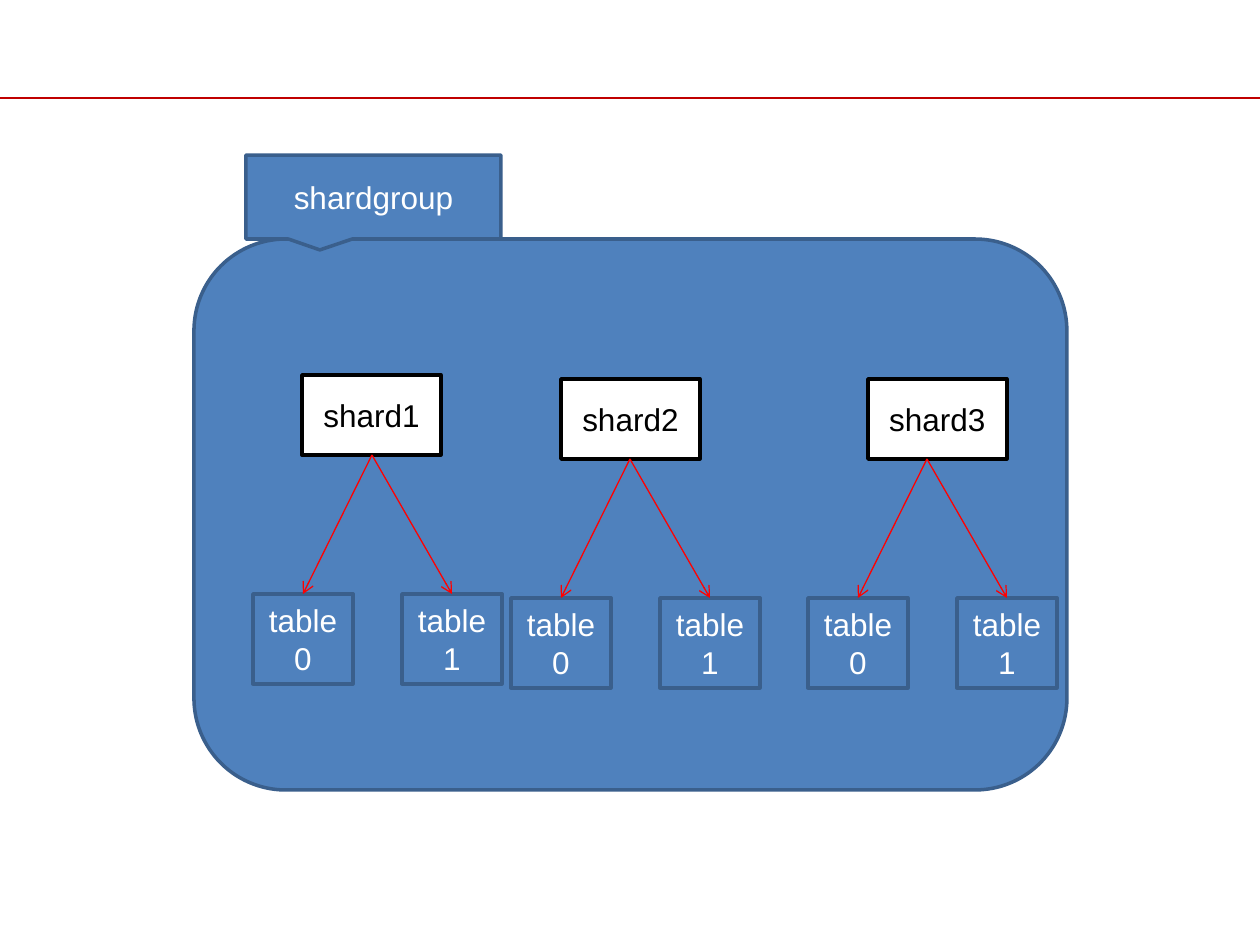
from lxml import etree
from pptx import Presentation
from pptx import util as u
from pptx.dml.color import RGBColor
from pptx.enum import shapes, text
from pptx.oxml.ns import qn

PX = 914400 // 126
BLUE, EDGE, WHITE, BLACK, RED = "4F81BD", "3A5F8C", "FFFFFF", "000000", "FF0000"
KIND = shapes.MSO_SHAPE

# Shards: label, left, top, x where both arrows start
SHARDS = [
    ("shard1", 302, 375, 372),
    ("shard2", 561, 379, 630),
    ("shard3", 868, 379, 927),
]
TABLES = ["table0", "table1"]
SHARD_W, SHARD_H = 139, 80
TABLE_W, TABLE_H = 100, 90
DROP = 219    # shard top to table top
SHIFT = 119   # arrow start back to first table
STEP = 149    # table to table

deck = Presentation()
deck.slide_width, deck.slide_height = u.Inches(10), u.Inches(7.5)
slide = deck.slides.add_slide(deck.slide_layouts[6])


def color(code):
    return RGBColor.from_string(code)


def box(kind, left, top, width, height, label="", fill=BLUE, edge=EDGE, ink=WHITE):
    shape = slide.shapes.add_shape(kind, *(n * PX for n in (left, top, width, height)))
    shape.shadow.inherit = False
    shape.fill.solid()
    shape.fill.fore_color.rgb = color(fill)
    shape.line.color.rgb = color(edge)
    shape.line.width = u.Pt(2)
    if label:
        frame = shape.text_frame
        frame.word_wrap = True
        frame.vertical_anchor = text.MSO_ANCHOR.MIDDLE
        para = frame.paragraphs[0]
        para.alignment = text.PP_ALIGN.CENTER
        run = para.add_run()
        run.text = label
        run.font.name, run.font.size = "Arial", u.Pt(18)
        run.font.color.rgb = color(ink)
    return shape


def line(x1, y1, x2, y2, ink, arrow=False):
    link = slide.shapes.add_connector(
        shapes.MSO_CONNECTOR.STRAIGHT, *(n * PX for n in (x1, y1, x2, y2)))
    link.line.color.rgb = color(ink)
    link.line.width = u.Pt(0.75)
    if arrow:
        etree.SubElement(link.line._get_or_add_ln(), qn("a:tailEnd"), type="arrow")
    etree.SubElement(link._element.spPr, qn("a:effectLst"))


# Header rule and group panel
line(0, 98, 1260, 98, "C00000")
box(KIND.ROUNDED_RECTANGLE, 194, 239, 873, 551)

# Each shard with its tables
for name, left, top, start in SHARDS:
    box(KIND.RECTANGLE, left, top, SHARD_W, SHARD_H, name, WHITE, BLACK, BLACK)
    row = top + DROP
    for i, table in enumerate(TABLES):
        x = start - SHIFT + i * STEP
        box(KIND.RECTANGLE, x, row, TABLE_W, TABLE_H, table)
        line(start, top + SHARD_H, x + TABLE_W // 2, row, RED, arrow=True)

# Group label
tag = box(KIND.RECTANGULAR_CALLOUT, 246, 155, 255, 84, "shardgroup")
tag.adjustments[0], tag.adjustments[1] = -0.21, 0.63

deck.save("out.pptx")
